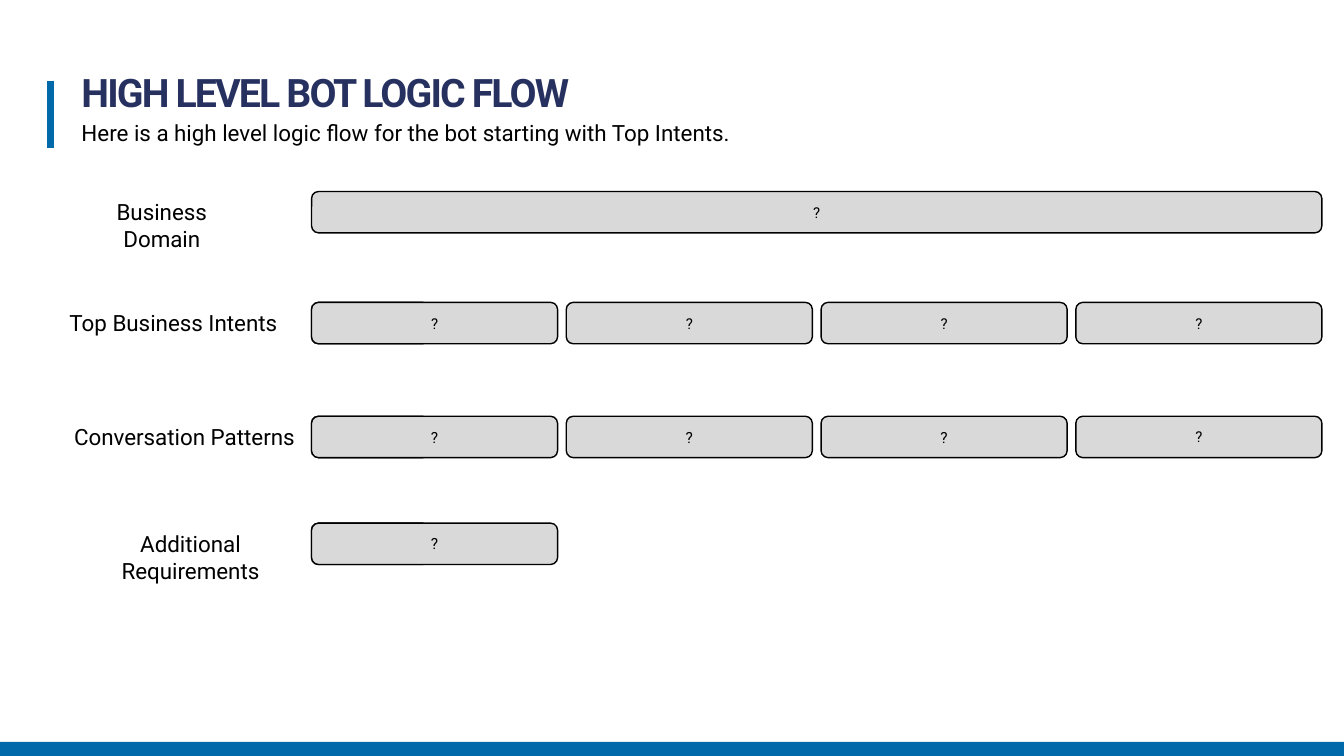
"""Build the bot logic flow slide."""
from lxml.etree import SubElement
from pptx import Presentation
from pptx.dml.color import RGBColor
from pptx.enum.shapes import MSO_CONNECTOR, MSO_SHAPE
from pptx.enum.text import MSO_ANCHOR, MSO_AUTO_SIZE, PP_ALIGN
from pptx.oxml.ns import qn
from pptx.util import Inches, Pt

COLORS = {"navy": "273160", "blue": "0069AA", "gray": "D9D9D9", "black": "000000"}
FONT = "Roboto"
BOX_LEFT, BOX_WIDTH, BOX_HEIGHT, BOX_STEP = 3.09, 2.44, 0.41, 2.527
STUB_WIDTH, DOMAIN_WIDTH = 1.17, 10.02

INTENT_ROWS = [
    ("Top Business Intents", 0.5, 2.44, 3.0, [10.7] * 4),
    ("Conversation Patterns", 0.61, 2.44, 4.13, [11, 11, 11, 10.7]),
    ("Additional Requirements", 0.61, 2.56, 5.19, [11]),
]


def color(name):
    """Return the named palette colour."""
    return RGBColor.from_string(COLORS[name])


def write_text(shape, text, size, color_name="black", alignment=PP_ALIGN.LEFT):
    """Put one formatted paragraph into a shape and return the paragraph."""
    shape.text_frame.text = text
    shape.text_frame.word_wrap = True
    paragraph = shape.text_frame.paragraphs[0]
    paragraph.alignment = alignment
    font = paragraph.runs[0].font
    font.name, font.size = FONT, Pt(size)
    font.color.rgb = color(color_name)
    return paragraph


def add_text(slide, text, left, top, width, height, size, **style):
    """Add a text box and return its paragraph."""
    box = slide.shapes.add_textbox(Inches(left), Inches(top), Inches(width), Inches(height))
    return write_text(box, text, size, **style)


def add_label(slide, text, left, row_top, width):
    """Add the centred label of a row."""
    add_text(slide, text, left, row_top + 0.02, width, 0.37, 16, alignment=PP_ALIGN.CENTER)


def add_box(slide, left, top, width, text="", size=10.7):
    """Add a gray rounded box with optional centred text."""
    box = slide.shapes.add_shape(MSO_SHAPE.ROUNDED_RECTANGLE, Inches(left), Inches(top),
                                 Inches(width), Inches(BOX_HEIGHT))
    box.shadow.inherit = False
    box.fill.solid()
    box.fill.fore_color.rgb = color("gray")
    box.line.color.rgb = color("black")
    box.line.width = Pt(1)
    if text:
        write_text(box, text, size, alignment=PP_ALIGN.CENTER)
        box.text_frame.vertical_anchor = MSO_ANCHOR.MIDDLE


def add_intent_row(slide, label, label_left, label_width, top, sizes):
    """Add a labelled row of evenly spaced boxes."""
    add_box(slide, BOX_LEFT, top, STUB_WIDTH)
    for column, size in enumerate(sizes):
        add_box(slide, BOX_LEFT + column * BOX_STEP, top, BOX_WIDTH, "?", size)
    add_label(slide, label, label_left, top, label_width)


def add_footer_bar(slide):
    """Add the blue bar along the bottom edge."""
    bar = slide.shapes.add_shape(MSO_SHAPE.RECTANGLE, 0, Inches(7.36),
                                 Inches(13.33), Inches(0.14))
    bar.shadow.inherit = False
    bar.fill.solid()
    bar.fill.fore_color.rgb = color("blue")
    bar.line.fill.background()


def add_accent_line(slide):
    """Add the thick vertical line beside the title."""
    line = slide.shapes.add_connector(MSO_CONNECTOR.STRAIGHT, Inches(0.5), Inches(0.8),
                                      Inches(0.5), Inches(1.47))
    line.line.color.rgb = color("blue")
    line.line.width = Pt(4.5)
    SubElement(line._element.spPr, qn("a:effectLst"))


def add_heading(slide):
    """Add the title and subtitle."""
    title = add_text(slide, "HIGH LEVEL BOT LOGIC FLOW", 0.71, 0.73, 5.32, 0.47, 28,
                     color_name="navy")
    title.line_spacing = Pt(26)
    run = title.runs[0]
    run.font.bold = True
    run.font._element.set("spc", "-130")
    subtitle = "Here is a high level logic flow for the bot starting with Top Intents."
    add_text(slide, subtitle, 0.71, 1.13, 11.98, 0.68, 16)


def main():
    """Create and save the presentation."""
    presentation = Presentation()
    presentation.slide_width, presentation.slide_height = Inches(13.33), Inches(7.5)
    slide = presentation.slides.add_slide(presentation.slide_layouts[6])
    add_footer_bar(slide)
    add_accent_line(slide)
    add_heading(slide)
    add_box(slide, BOX_LEFT, 1.9, DOMAIN_WIDTH, "?")
    add_label(slide, "Business Domain", 0.71, 1.9, 1.79)
    for row in INTENT_ROWS:
        add_intent_row(slide, *row)
    presentation.save("out.pptx")


if __name__ == "__main__":
    main()
